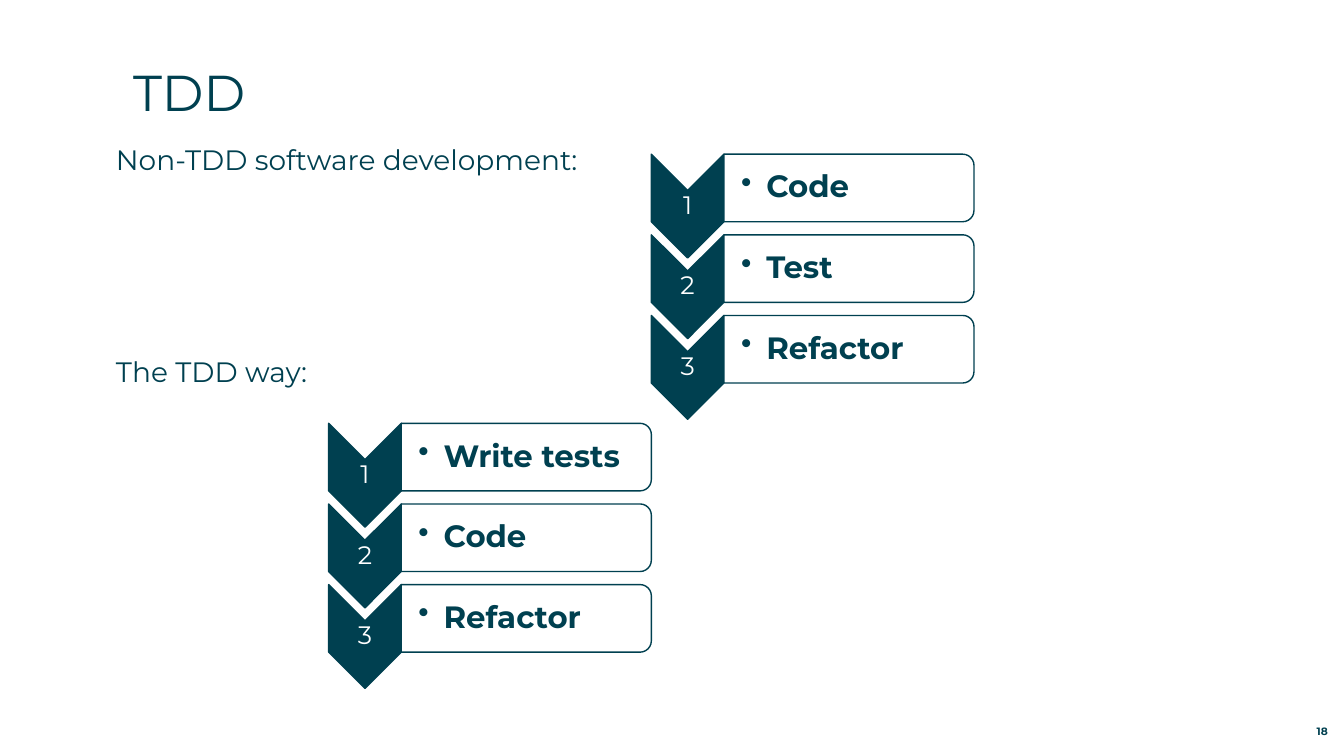
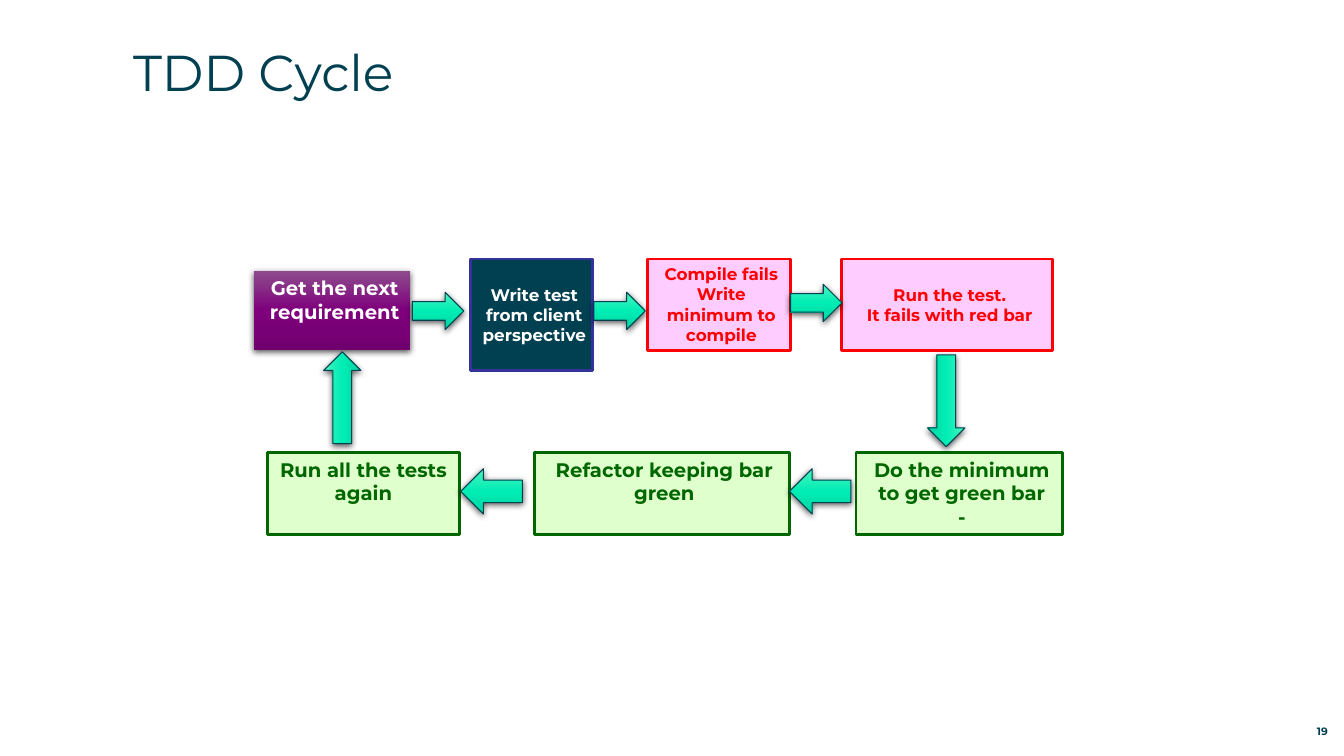
from dataclasses import dataclass
from typing import Any, NamedTuple

import lxml.etree
import pptx
import pptx.dml.color
import pptx.enum.shapes
import pptx.enum.text
import pptx.oxml.ns
import pptx.shapes.autoshape
import pptx.slide
import pptx.text.text
import pptx.util

SHAPE = pptx.enum.shapes.MSO_SHAPE
ALIGN = pptx.enum.text.PP_ALIGN
ANCHOR = pptx.enum.text.MSO_ANCHOR


@dataclass(frozen=True)
class Theme:
    font: str = "Montserrat"
    ink: str = "004050"
    white: str = "FFFFFF"
    navy: str = "333399"
    red: str = "FF0000"
    pink: str = "FFCCFF"
    green: str = "006600"
    pale_green: str = "DFFFCD"
    shadow: str = "000000"
    purple_blend: tuple[str, ...] = ("8D4B8C", "7F007D", "71006F")
    mint_blend: tuple[str, ...] = ("4BF3BE", "00EDB5", "00D3A1")
    title_size: float = 36
    step_size: float = 22
    body_size: float = 20
    number_size: float = 18
    stage_size: float = 14
    small_stage_size: float = 12
    page_size: float = 7.6


THEME = Theme()


class Box(NamedTuple):
    left: float
    top: float
    width: float
    height: float

    def lengths(self) -> list[int]:
        return [pptx.util.Inches(value) for value in self]

    def turned(self) -> "Box":
        shift = (self.width - self.height) / 2
        return Box(self.left + shift, self.top - shift, self.height, self.width)


@dataclass(frozen=True)
class Process:
    left: float
    top: float
    steps: tuple[str, ...]


@dataclass(frozen=True)
class Stage:
    box: Box
    text: str
    fill: str | tuple[str, ...]
    line: str | None
    color: str
    size: float = THEME.stage_size
    left_inset: float = 0.1
    top_inset: float = 0.05


@dataclass(frozen=True)
class Arrow:
    box: Box
    kind: Any = SHAPE.RIGHT_ARROW
    rotation: int = 0


PAGE_BOX = Box(12.31, 7.12, 0.86, 0.2)
STEP_PITCH = 0.8
CHEVRON_WIDTH, CHEVRON_HEIGHT = 0.72, 1.03
BAR_WIDTH, BAR_HEIGHT = 2.48, 0.67

PROCESSES = (
    Process(6.46, 1.53, ("Code", "Test", "Refactor")),
    Process(3.26, 4.2, ("Write tests", "Code", "Refactor")),
)

STAGES = (
    Stage(Box(2.52, 2.69, 1.55, 0.78), "Get the next requirement",
          THEME.purple_blend, None, THEME.white),
    Stage(Box(4.67, 2.57, 1.21, 1.11), "Write test from client perspective",
          THEME.ink, THEME.navy, THEME.white, THEME.small_stage_size, top_inset=0.25),
    Stage(Box(6.42, 2.57, 1.42, 0.91), "Compile fails\nWrite minimum to compile",
          THEME.pink, THEME.red, THEME.red, THEME.small_stage_size),
    Stage(Box(8.35, 2.57, 2.09, 0.91), "Run the test.\nIt fails with red bar",
          THEME.pink, THEME.red, THEME.red, THEME.small_stage_size, top_inset=0.25),
    Stage(Box(8.49, 4.49, 2.05, 0.81), "Do the minimum to get green bar\n-",
          THEME.pale_green, THEME.green, THEME.green),
    Stage(Box(5.3, 4.49, 2.53, 0.81), "Refactor keeping bar green",
          THEME.pale_green, THEME.green, THEME.green),
    Stage(Box(2.65, 4.49, 1.91, 0.81), "Run all the tests again",
          THEME.pale_green, THEME.green, THEME.green, left_inset=0.05),
)

ARROWS = (
    Arrow(Box(4.09, 2.9, 0.51, 0.37)),
    Arrow(Box(5.89, 2.9, 0.51, 0.37)),
    Arrow(Box(7.84, 2.82, 0.51, 0.37)),
    Arrow(Box(8.93, 3.79, 0.91, 0.37), rotation=90),
    Arrow(Box(7.83, 4.65, 0.61, 0.45), SHAPE.LEFT_ARROW),
    Arrow(Box(4.57, 4.65, 0.61, 0.45), SHAPE.LEFT_ARROW),
    Arrow(Box(2.94, 3.76, 0.91, 0.37), rotation=270),
)


def rgb(color: str) -> pptx.dml.color.RGBColor:
    return pptx.dml.color.RGBColor.from_string(color)


def add_node(parent: Any, tag: str, **attributes: str) -> Any:
    return lxml.etree.SubElement(parent, pptx.oxml.ns.qn(tag), attributes)


def write(frame: pptx.text.text.TextFrame, text: str, size: float, color: str = THEME.ink,
          bold: bool = False, align: Any = ALIGN.LEFT, anchor: Any = ANCHOR.TOP,
          insets: tuple[float, float, float, float] = (0, 0, 0, 0)) -> None:
    frame.text = text
    frame.word_wrap = True
    frame.auto_size = pptx.enum.text.MSO_AUTO_SIZE.NONE
    frame.vertical_anchor = anchor
    frame.margin_left, frame.margin_top, frame.margin_right, frame.margin_bottom = (
        pptx.util.Inches(inset) for inset in insets)
    for paragraph in frame.paragraphs:
        paragraph.alignment = align
        for run in paragraph.runs:
            run.font.name = THEME.font
            run.font.size = pptx.util.Pt(size)
            run.font.bold = bold
            run.font.color.rgb = rgb(color)


def place(placeholder: Any, box: Box) -> None:
    placeholder.left, placeholder.top, placeholder.width, placeholder.height = box.lengths()


def blend(shape: pptx.shapes.autoshape.Shape, colors: tuple[str, ...]) -> None:
    shape.fill.gradient()
    shape.fill.gradient_angle = 270
    stops = shape._element.spPr.find(".//" + pptx.oxml.ns.qn("a:gsLst"))
    for stop in list(stops):
        stops.remove(stop)
    for index, color in enumerate(colors):
        position = round(100000 * index / (len(colors) - 1))
        stop = add_node(stops, "a:gs", pos=str(position))
        add_node(stop, "a:srgbClr", val=color)


def cast_shadow(shape: pptx.shapes.autoshape.Shape) -> None:
    effects = shape._element.spPr.find(pptx.oxml.ns.qn("a:effectLst"))
    shadow = add_node(effects, "a:outerShdw", blurRad=str(pptx.util.Pt(4.5)),
                      dist=str(pptx.util.Pt(1.5)), dir="5400000", rotWithShape="0")
    color = add_node(shadow, "a:srgbClr", val=THEME.shadow)
    add_node(color, "a:alpha", val="63000")


def draw_shape(shapes: Any, kind: Any, box: Box, fill: str | tuple[str, ...],
               line: str | None, weight: float, rotation: int = 0
               ) -> pptx.shapes.autoshape.Shape:
    shape = shapes.add_shape(kind, *box.lengths())
    shape.rotation = rotation
    shape.shadow.inherit = False
    if isinstance(fill, str):
        shape.fill.solid()
        shape.fill.fore_color.rgb = rgb(fill)
    else:
        blend(shape, fill)
        cast_shadow(shape)
    if line:
        shape.line.color.rgb = rgb(line)
        shape.line.width = pptx.util.Pt(weight)
    else:
        shape.line.fill.background()
    return shape


def set_bullet(paragraph: Any, indent: float, mark: str | None) -> None:
    properties = paragraph._p.get_or_add_pPr()
    properties.set("marL", str(pptx.util.Inches(indent)))
    properties.set("indent", str(-pptx.util.Inches(indent)))
    if mark:
        add_node(properties, "a:buChar", char=mark)
    else:
        add_node(properties, "a:buNone")


def draw_process(slide: pptx.slide.Slide, process: Process) -> None:
    shapes = slide.shapes.add_group_shape().shapes
    for index, step in enumerate(process.steps):
        top = process.top + index * STEP_PITCH
        chevron = Box(process.left, top, CHEVRON_WIDTH, CHEVRON_HEIGHT)
        draw_shape(shapes, SHAPE.CHEVRON, chevron.turned(), THEME.ink, THEME.ink, 1, 90)
        number = shapes.add_textbox(
            *Box(process.left, top + 0.36, CHEVRON_WIDTH, 0.31).lengths()).text_frame
        write(number, str(index + 1), THEME.number_size, THEME.white, align=ALIGN.CENTER,
              anchor=ANCHOR.MIDDLE, insets=(0.01,) * 4)
        bar_left = process.left + CHEVRON_WIDTH
        bar = Box(bar_left, top, BAR_WIDTH, BAR_HEIGHT)
        draw_shape(shapes, SHAPE.ROUND_2_SAME_RECTANGLE, bar.turned(),
                   THEME.white, THEME.ink, 1, 90)
        label = shapes.add_textbox(*Box(bar_left, top + 0.03, 2.45, 0.61).lengths()).text_frame
        write(label, step, THEME.step_size, bold=True, anchor=ANCHOR.MIDDLE,
              insets=(0.17, 0.02, 0.02, 0.02))
        set_bullet(label.paragraphs[0], 0.25, "•")
        for frame in (number, label):
            frame.paragraphs[0].line_spacing = 0.9


def draw_stage(slide: pptx.slide.Slide, stage: Stage) -> None:
    shape = draw_shape(slide.shapes, SHAPE.RECTANGLE, stage.box, stage.fill, stage.line, 2)
    write(shape.text_frame, stage.text, stage.size, stage.color, bold=True,
          align=ALIGN.CENTER, insets=(stage.left_inset, stage.top_inset, 0.05, 0.05))


def start_slide(deck: Any, layout: int, title: str, title_box: Box,
                page: int) -> pptx.slide.Slide:
    slide = deck.slides.add_slide(deck.slide_layouts[layout])
    place(slide.shapes.title, title_box)
    write(slide.shapes.title.text_frame, title, THEME.title_size)
    page_number = slide.shapes.add_textbox(*PAGE_BOX.lengths())
    write(page_number.text_frame, str(page), THEME.page_size, bold=True,
          align=ALIGN.RIGHT, anchor=ANCHOR.BOTTOM)
    return slide


def build_comparison(deck: Any) -> None:
    slide = start_slide(deck, 1, "TDD", Box(1.32, 0.61, 11.65, 0.88), 18)
    approaches = slide.placeholders[1]
    place(approaches, Box(1.15, 1.41, 12.18, 5.42))
    write(approaches.text_frame, "Non-TDD software development:\nThe TDD way:",
          THEME.body_size)
    for paragraph, gap in zip(approaches.text_frame.paragraphs, (0, 128)):
        set_bullet(paragraph, 0, None)
        paragraph.space_before = pptx.util.Pt(gap)
    for process in PROCESSES:
        draw_process(slide, process)


def build_cycle(deck: Any) -> None:
    slide = start_slide(deck, 5, "TDD Cycle", Box(1.32, 0.41, 4.35, 0.88), 19)
    for stage in STAGES:
        draw_stage(slide, stage)
    for arrow in ARROWS:
        draw_shape(slide.shapes, arrow.kind, arrow.box, THEME.mint_blend,
                   THEME.ink, 0.75, arrow.rotation)


def main() -> None:
    deck = pptx.Presentation()
    deck.slide_width = pptx.util.Inches(13.33)
    deck.slide_height = pptx.util.Inches(7.5)
    build_comparison(deck)
    build_cycle(deck)
    deck.save("out.pptx")


if __name__ == "__main__":
    main()
